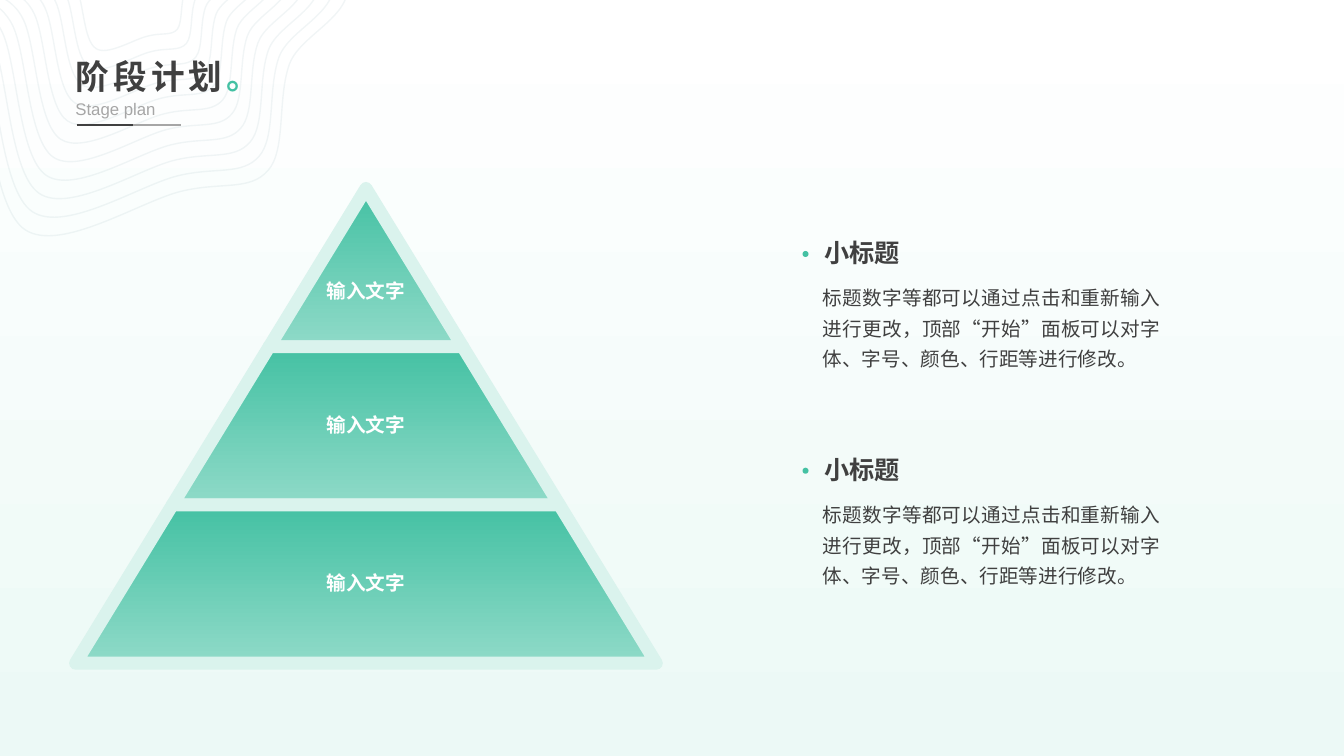
from lxml import etree
from pptx import Presentation
from pptx.dml.color import RGBColor
from pptx.enum import shapes, text
from pptx.oxml import ns
from pptx.util import Inches, Pt

GREEN, MINT, PALE = "44C1A3", "8FDAC8", "DAF3ED"
DARK, GREY, WHITE = "404040", "A6A6A6", "FFFFFF"
CJK = "Noto Sans CJK SC"


def paint(fill, *tones):
    """One tone gives a solid fill, two give a gradient from top to bottom."""
    if len(tones) == 1:
        fill.solid()
        fill.fore_color.rgb = RGBColor.from_string(tones[0])
        return
    fill.gradient()
    fill.gradient_angle = 270
    for stop, tone in zip(fill.gradient_stops, tones):
        stop.color.rgb = RGBColor.from_string(tone)


def write(frame, runs, size, bold=False, face="Arial", wrap=True):
    """Fill the first paragraph with (words, tone) runs and return it."""
    frame.word_wrap = wrap
    para = frame.paragraphs[0]
    for words, tone in runs:
        run = para.add_run()
        run.text = words
        run.font.size, run.font.bold, run.font.name = Pt(size), bold, face
        paint(run.font.fill, tone)
        props = run.font._element
        props.set("lang", "zh-CN")
        east = etree.SubElement(props, ns.qn("a:ea"))
        east.set("typeface", CJK)
    return para


deck = Presentation()
deck.slide_width, deck.slide_height = Inches(13.33), Inches(7.5)
slide = deck.slides.add_slide(deck.slide_layouts[6])
items = slide.shapes
paint(slide.background.fill, WHITE, "ECF9F6")

# Contour rings: Bezier points of the outer and inner ring, the rest blended
outer = [(1.79, 1.9), (1.39, 2), (0.6, 2.51), (0.25, 2.28), (-0.09, 2.05),
         (-0.11, 0.91), (-0.29, 0.51), (-0.48, 0.11), (-0.82, 0.2),
         (-0.85, -0.14), (-0.89, -0.48), (-0.84, -1.2), (-0.5, -1.53),
         (-0.17, -1.87), (0.51, -2.36), (1.15, -2.16), (1.8, -1.96),
         (3.1, -0.82), (3.38, -0.35), (3.67, 0.12), (2.99, 0.3),
         (2.87, 0.64), (2.75, 0.98), (2.84, 1.49), (2.66, 1.69),
         (2.48, 1.9), (2.19, 1.8), (1.79, 1.9)]
inner = [(1.46, 0.36), (1.33, 0.39), (1.06, 0.56), (0.95, 0.48), (0.83, 0.4),
         (0.83, 0.02), (0.76, -0.11), (0.7, -0.25), (0.59, -0.22),
         (0.57, -0.33), (0.56, -0.44), (0.58, -0.68), (0.69, -0.8),
         (0.81, -0.91), (1.03, -1.07), (1.25, -1.01), (1.47, -0.94),
         (1.9, -0.56), (2, -0.4), (2.09, -0.24), (1.87, -0.18),
         (1.83, -0.07), (1.79, 0.05), (1.81, 0.22), (1.76, 0.29),
         (1.7, 0.36), (1.6, 0.32), (1.46, 0.36)]
for ring in range(11):
    mix = ring / 10
    dots = [(Inches(a + (c - a) * mix), Inches(b + (d - b) * mix))
            for (a, b), (c, d) in zip(outer, inner)]
    pen = items.build_freeform(*dots[0])
    pen.add_line_segments(dots[1:], close=True)
    loop = pen.convert_to_shape()
    loop.shadow.inherit = False
    loop.fill.background()
    paint(loop.line.fill, "1E5E70")
    loop.line.width = Pt(1)
    tone = loop.line._ln.find(".//" + ns.qn("a:srgbClr"))
    etree.SubElement(tone, ns.qn("a:alpha")).set("val", "5000")
    # Every three straight steps become one curve
    steps = list(loop._element.iter(ns.qn("a:lnTo")))
    for k in range(0, len(steps), 3):
        curve = etree.Element(ns.qn("a:cubicBezTo"))
        steps[k].addprevious(curve)
        for step in steps[k:k + 3]:
            curve.append(step[0])
            step.getparent().remove(step)

# Rule under the title
for end, tone in ((1.8, GREY), (1.32, DARK)):
    rule = items.add_connector(shapes.MSO_CONNECTOR.STRAIGHT, Inches(0.76),
                               Inches(1.24), Inches(end), Inches(1.24))
    paint(rule.line.fill, tone)
    rule.line.width = Pt(1)
    etree.SubElement(rule._element.spPr, ns.qn("a:effectLst"))

# Title
box = items.add_textbox(Inches(0.65), Inches(0.55), Inches(2.1), Inches(0.46))
para = write(box.text_frame, [("阶段计划", DARK), ("。", GREEN)], 24, True,
             CJK, wrap=False)
para.line_spacing, para.space_before = 0.9, Pt(10)
for run in para.runs:
    run.font._element.set("spc", "300")
box = items.add_textbox(Inches(0.65), Inches(0.93), Inches(1), Inches(0.3))
para = write(box.text_frame, [("Stage plan", GREY)], 12, wrap=False)
para.space_before = Pt(10)

# Pyramid
MID, TOP, RISE, FLARE = 3.63, 1.87, 1.57, 0.96
label = [("输入文字", WHITE)]
for tier in range(3):
    high, low = TOP + tier * RISE, TOP + (tier + 1) * RISE
    near, far = tier * FLARE, (tier + 1) * FLARE
    dots = [(Inches(x), Inches(y)) for x, y in
            ((MID - far, low), (MID - near, high),
             (MID + near, high), (MID + far, low))]
    pen = items.build_freeform(*dots[0])
    pen.add_line_segments(dots[1:], close=True)
    slab = pen.convert_to_shape()
    slab.shadow.inherit = False
    paint(slab.fill, GREEN, MINT)
    paint(slab.line.fill, PALE)
    slab.line.width = Pt(9.25)
    etree.SubElement(slab.line._ln, ns.qn("a:round"))
    if tier:
        frame = slab.text_frame
        frame.vertical_anchor = text.MSO_ANCHOR.MIDDLE
        frame.margin_top = frame.margin_bottom = Inches(0.02)
        para = write(frame, label, 14, True)
        para.alignment, para.line_spacing = text.PP_ALIGN.CENTER, 0.9
box = items.add_textbox(Inches(3.14), Inches(2.72), Inches(0.99), Inches(0.34))
write(box.text_frame, label, 14, True, wrap=False)

# Notes on the right
body = ("标题数字等都可以通过点击和重新输入进行更改，顶部“开始”面板可以对字体、"
        "字号、颜色、行距等进行修改。")
for top in (2.31, 4.46):
    box = items.add_textbox(Inches(8.06), Inches(top + 0.41), Inches(3.55),
                            Inches(0.99))
    para = write(box.text_frame, [(body, DARK)], 14)
    para.alignment, para.line_spacing = text.PP_ALIGN.JUSTIFY, 1.3
    box = items.add_textbox(Inches(8.08), Inches(top), Inches(0.96),
                            Inches(0.4))
    write(box.text_frame, [("小标题", DARK)], 18, True, wrap=False)
    dot = items.add_shape(shapes.MSO_SHAPE.OVAL, Inches(7.96),
                          Inches(top + 0.18), Inches(0.06), Inches(0.06))
    dot.shadow.inherit = False
    paint(dot.fill, GREEN)
    dot.line.fill.background()

deck.save("out.pptx")
